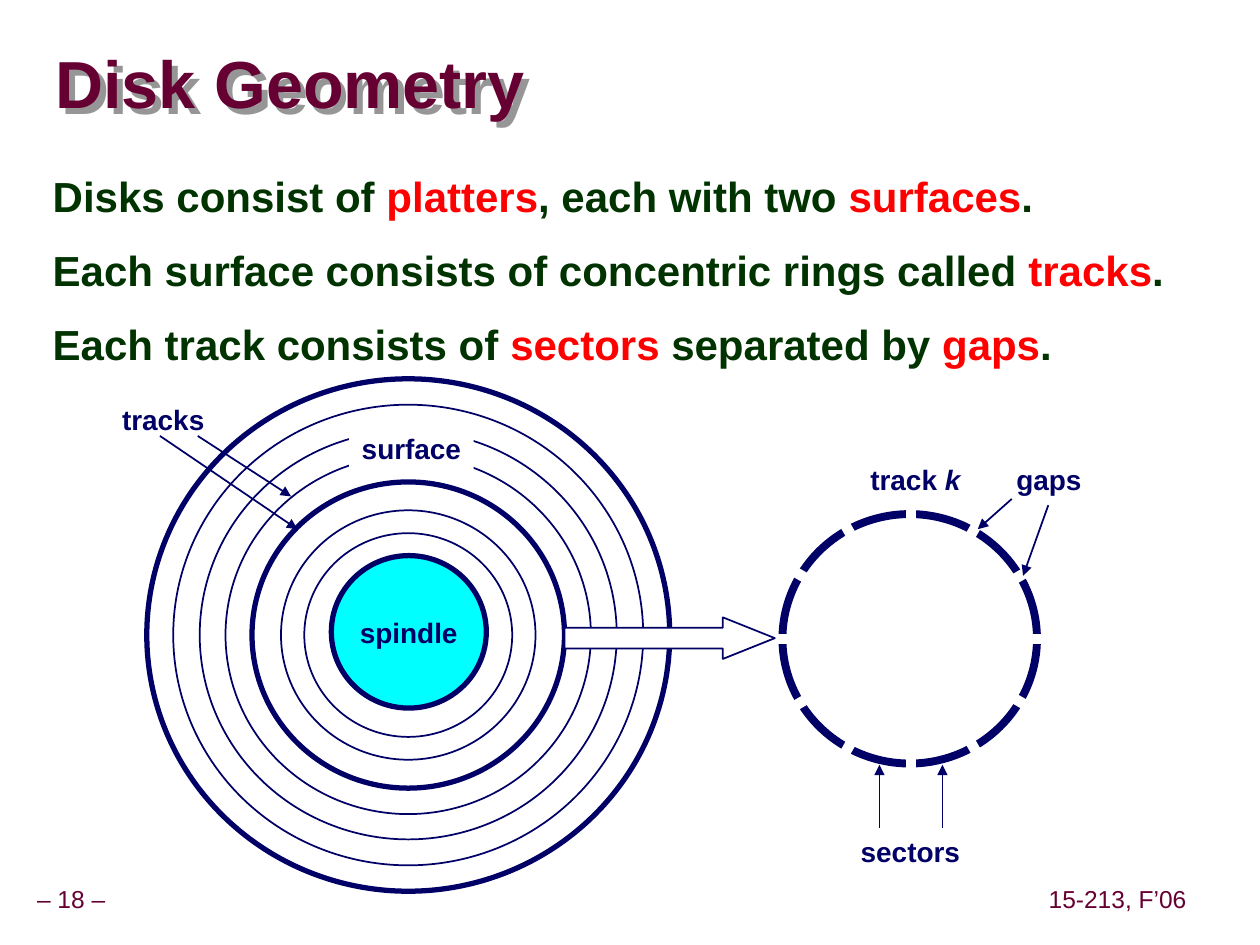
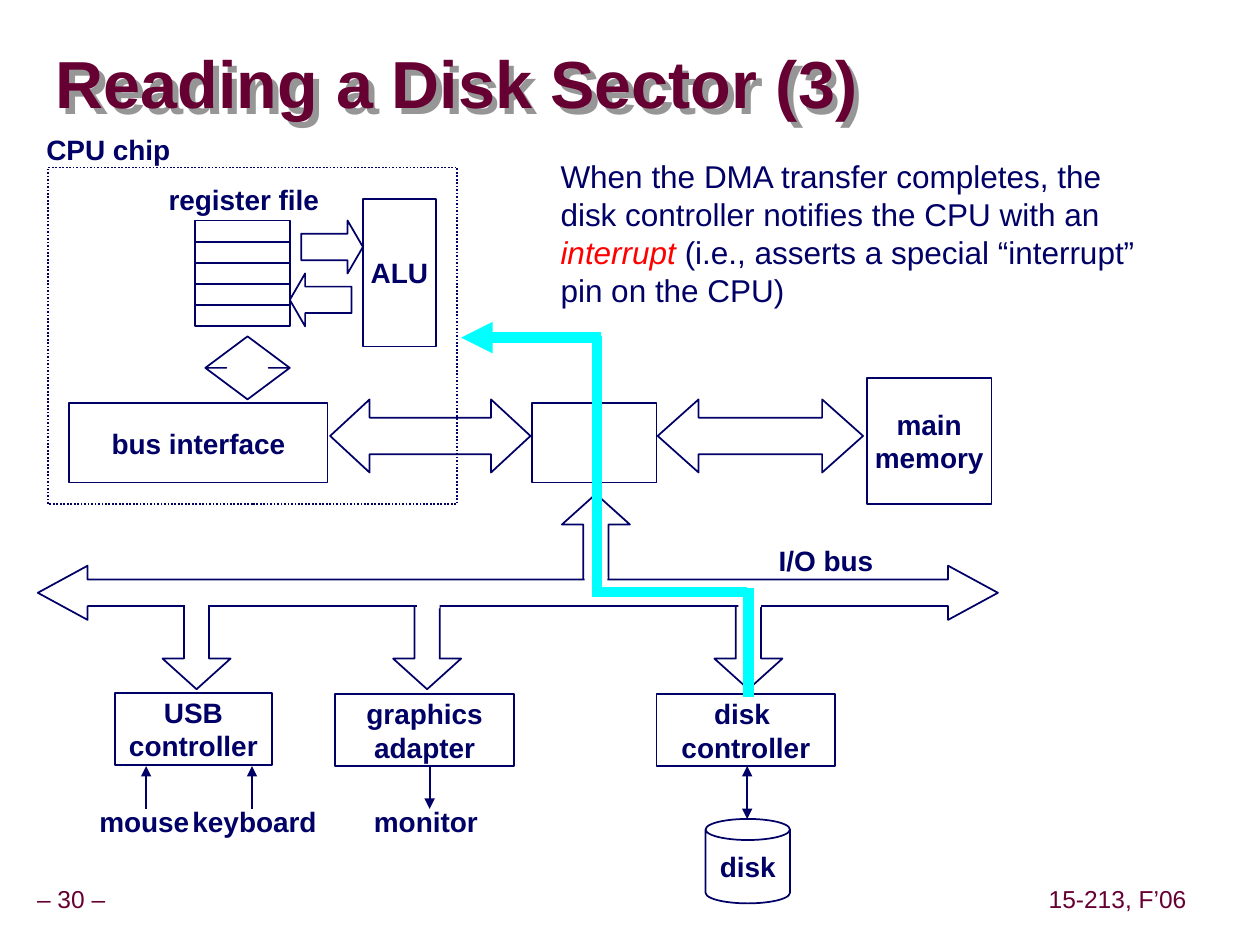
from math import cos, radians, sin

from lxml.etree import SubElement
from pptx import Presentation
from pptx.dml.color import RGBColor
from pptx.enum.dml import MSO_LINE as Dash
from pptx.enum.shapes import MSO_CONNECTOR as Wire, MSO_SHAPE as Kind
from pptx.enum.text import MSO_ANCHOR as Anchor, PP_ALIGN as Align
from pptx.oxml.ns import qn
from pptx.util import Inches, Pt

FONT = "Arial"
NAVY, WINE, GREEN, RED = "000066", "660033", "003300", "FF0000"
CYAN, WHITE, GREY = "00FFFF", "FFFFFF", "969696"
hue = RGBColor.from_string


def put(page, kind, box, text="", fill=None, line=NAVY, width=1, adj=(), size=16,
        color=NAVY, bold=True, key=(NAVY, True), wrap=False):
    """Add a shape, or a text box if kind is None; *stars* enclose key words."""
    box = [Inches(n) for n in box]
    if kind is None:
        shape = page.shapes.add_textbox(*box)
    else:
        shape = page.shapes.add_shape(kind, *box)
        shape.shadow.inherit = False
        for i, value in enumerate(adj):
            shape.adjustments[i] = value
        if line:
            shape.line.color.rgb = hue(line)
            shape.line.width = Pt(width)
        else:
            shape.line.fill.background()
        if fill:
            shape.fill.solid()
            shape.fill.fore_color.rgb = hue(fill)
        else:
            shape.fill.background()
    if not text:
        return shape
    frame = shape.text_frame
    frame.word_wrap = wrap
    frame.vertical_anchor = Anchor.TOP if wrap else Anchor.MIDDLE
    frame.margin_left = frame.margin_right = Inches(0.1 if wrap else 0)
    frame.text = text
    for para in frame.paragraphs:
        para.alignment = Align.LEFT if wrap else Align.CENTER
        parts = para.text.split("*")
        para.text = parts[0]
        for part in parts[1:]:
            para.add_run().text = part
        for i, run in enumerate(para.runs):
            tone, slant = key if i % 2 else (color, False)
            font = run.font
            font.name, font.size, font.bold, font.italic = FONT, Pt(size), bold, slant
            font.color.rgb = hue(tone)
    return shape


def join(page, start, end, color=NAVY, width=1, heads=()):
    """Add a straight line with arrowheads at the named ends."""
    wire = page.shapes.add_connector(Wire.STRAIGHT, *(Inches(n) for n in (*start, *end)))
    wire.line.color.rgb = hue(color)
    wire.line.width = Pt(width)
    props = wire._element.spPr
    for head in heads:
        SubElement(props.find(qn("a:ln")), qn(f"a:{head}"), type="triangle")
    SubElement(props, qn("a:effectLst"))


deck = Presentation()
deck.slide_width, deck.slide_height = Inches(10), Inches(7.5)

# Shared title and footers
pages = []
for name, number in (("Disk Geometry", 18), ("Reading a Disk Sector (3)", 30)):
    page = deck.slides.add_slide(deck.slide_layouts[5])
    pages.append(page)
    title = page.shapes.title
    title.left, title.top = Inches(0.44), Inches(0.27)
    title.width, title.height = Inches(9.53), Inches(0.85)
    frame = title.text_frame
    frame.text = name
    frame.vertical_anchor = Anchor.MIDDLE
    frame.margin_left = frame.margin_right = frame.margin_top = frame.margin_bottom = 0
    para = frame.paragraphs[0]
    para.alignment, para.line_spacing = Align.LEFT, 0.87
    font = para.runs[0].font
    font.name, font.size, font.bold = FONT, Pt(38), True
    font.color.rgb = hue(WINE)
    effects = SubElement(title._element.spPr, qn("a:effectLst"))
    shade = SubElement(effects, qn("a:outerShdw"), dist="60000", dir="2700000", algn="ctr")
    SubElement(shade, qn("a:srgbClr"), val=GREY)
    for text, left, wide in ((f"– {number} –", -0.09, 1.31), ("15-213, F’06", 8.27, 1.2)):
        put(page, None, (left, 6.98, wide, 0.31), text, size=14, color=WINE, bold=False)

# Slide 1: disk geometry
page = pages[0]
body = put(page, None, (0.32, 1.33, 9.09, 1.8),
           "Disks consist of *platters*, each with two *surfaces*.\n"
           "Each surface consists of concentric rings called *tracks*.\n"
           "Each track consists of *sectors* separated by *gaps*.",
           size=24, color=GREEN, key=(RED, False), wrap=True)
for para in body.text_frame.paragraphs:
    para.line_spacing, para.space_before = 0.95, Pt(15)

# Tracks around the spindle
for wide, thick in ((4.15, 3), (3.73, 1), (3.31, 1), (2.9, 1), (2.48, 3), (2.02, 1), (1.65, 1)):
    high = wide * 0.98
    put(page, Kind.OVAL, (3.24 - wide / 2, 5.04 - high / 2, wide, high), width=thick)
put(page, Kind.OVAL, (2.63, 4.41, 1.23, 1.21), "spindle", fill=CYAN, width=3)
put(page, Kind.RECTANGLE, (2.77, 3.37, 0.99, 0.37), "surface", fill=WHITE, line=None)

# Track k, cut into sectors by white spokes
put(page, Kind.OVAL, (6.21, 4.08, 2.02, 1.98), width=4.5)
for turn in range(0, 360, 30):
    angle = radians(turn)
    join(page, (7.23, 5.07), (7.23 + 1.12 * cos(angle), 5.07 + 1.12 * sin(angle)), WHITE, 6)
put(page, Kind.RIGHT_ARROW, (4.48, 4.9, 1.67, 0.33), fill=WHITE, adj=(0.5, 1.25))

for text, left, top, wide in (("tracks", 0.87, 3.14, 0.85), ("track *k", 6.81, 3.62, 0.91),
                              ("gaps", 7.97, 3.62, 0.71), ("sectors", 6.73, 6.57, 0.99)):
    put(page, None, (left, top, wide, 0.37), text)
for start, end in (((1.27, 3.46), (2.36, 4.2)), ((1.57, 3.46), (2.31, 3.94)),
                   ((6.98, 6.57), (6.98, 6.07)), ((7.48, 6.57), (7.48, 6.07)),
                   ((8.03, 3.96), (7.76, 4.2)), ((8.32, 4.01), (8.12, 4.57))):
    join(page, start, end, heads=["tailEnd"])

# Slide 2: reading a disk sector
page = pages[1]

# CPU chip
chip = put(page, Kind.RECTANGLE, (0.38, 1.33, 3.25, 2.67))
chip.line.dash_style = Dash.ROUND_DOT
for row in range(5):
    put(page, Kind.RECTANGLE, (1.55, 1.75 + row / 6, 0.75, 0.17))
put(page, Kind.RIGHT_ARROW, (2.39, 1.75, 0.49, 0.42), adj=(0.5, 0.29))
put(page, Kind.LEFT_ARROW, (2.3, 2.17, 0.49, 0.42), adj=(0.5, 0.29))
put(page, Kind.UP_DOWN_ARROW, (1.63, 2.67, 0.67, 0.5), adj=(0.2, 0.5))

# Buses between the chip, the bridge and the memory
put(page, Kind.LEFT_RIGHT_ARROW, (2.62, 3.17, 1.59, 0.58), adj=(0.5, 0.54))
put(page, Kind.LEFT_RIGHT_ARROW, (5.22, 3.17, 1.63, 0.58), adj=(0.5, 0.56))

# Boxes
for text, box in (("ALU", (2.88, 1.58, 0.58, 1.17)),
                  ("bus interface", (0.55, 3.2, 2.05, 0.63)),
                  ("", (4.22, 3.2, 0.99, 0.63)),
                  ("main\nmemory", (6.88, 3, 0.99, 1)),
                  ("USB\ncontroller", (0.91, 5.5, 1.25, 0.57)),
                  ("graphics\nadapter", (2.66, 5.51, 1.42, 0.57)),
                  ("disk \ncontroller", (5.21, 5.51, 1.42, 0.57))):
    put(page, Kind.RECTANGLE, box, text)
put(page, Kind.CAN, (5.6, 6.5, 0.67, 0.67), "disk", adj=[0.25])

# I/O bus: branches first, then the bus, then patches that open the joints
BRANCH = (0.37, 0.45)
put(page, Kind.UP_ARROW, (4.46, 3.92, 0.54, 0.75), adj=BRANCH)
for left in (1.29, 3.12, 5.67):
    put(page, Kind.DOWN_ARROW, (left, 4.72, 0.54, 0.75), adj=BRANCH)
put(page, Kind.LEFT_RIGHT_ARROW, (0.3, 4.49, 7.62, 0.43), fill=WHITE, adj=(0.49, 0.92))
for left, top in ((1.47, 4.67), (3.31, 4.66), (5.86, 4.65), (4.64, 4.58)):
    put(page, Kind.RECTANGLE, (left, top, 0.18, 0.17), fill=WHITE, line=None)

# Devices
for x, head in ((1.16, "headEnd"), (2, "headEnd"), (3.41, "tailEnd")):
    join(page, (x, 6.08), (x, 6.42), heads=[head])
join(page, (5.93, 6.08), (5.93, 6.5), heads=("headEnd", "tailEnd"))
for text, left, top, wide in (("CPU chip", 0.27, 1, 1.18), ("register file", 1.24, 1.4, 1.39),
                              ("I/O bus", 6.08, 4.26, 0.95), ("mouse", 0.69, 6.33, 0.91),
                              ("keyboard", 1.43, 6.33, 1.18), ("monitor", 2.87, 6.33, 1.02)):
    put(page, None, (left, top, wide, 0.37), text)

# Interrupt route from the disk controller to the CPU
join(page, (4.77, 2.68), (3.66, 2.68), CYAN, 6, ["tailEnd"])
for start, end in (((4.74, 2.67), (4.74, 4.67)), ((4.7, 4.7), (5.93, 4.7)),
                   ((5.94, 4.67), (5.94, 5.53))):
    join(page, start, end, CYAN, 6)
put(page, None, (4.35, 1.2, 4.81, 1.3),
    "When the DMA transfer completes, the disk controller notifies the CPU with an "
    "*interrupt* (i.e., asserts a special “interrupt” pin on the CPU)",
    size=18, bold=False, key=(RED, True), wrap=True)

deck.save("out.pptx")
